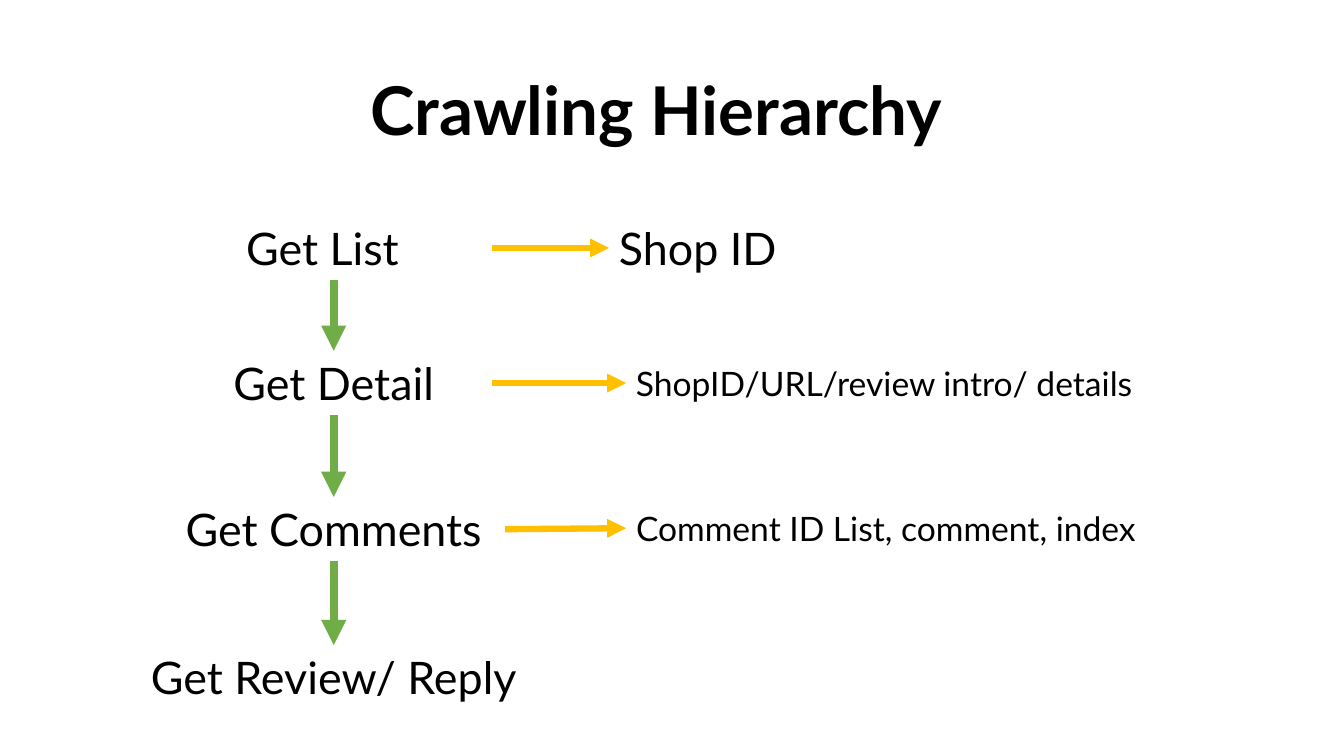
from pptx import Presentation
from pptx.dml.color import RGBColor
from pptx.enum.shapes import MSO_CONNECTOR
from pptx.enum.text import MSO_ANCHOR, MSO_AUTO_SIZE, PP_ALIGN
from pptx.oxml.ns import qn
from pptx.util import Inches, Pt
from lxml import etree

# Content
TITLE = "Crawling Hierarchy"
# step text, top, width, extra right inset
STEPS = [
    ("Get List", 2.14, 3.13, 0.22),
    ("Get Detail", 3.48, 3.13, 0),
    ("Get Comments", 4.93, 3.4, 0),
    ("Get Review/ Reply", 6.4, 4.29, 0),
]
# output text, left, top, width, height, size; one for each of the first steps
OUTPUTS = [
    ("Shop ID", 6.04, 2.14, 2.05, 0.64, 32),
    ("ShopID/URL/review intro/ details", 6.21, 3.55, 5.63, 0.5, 24),
    ("Comment ID List, comment, index", 6.21, 4.99, 5.99, 0.5, 24),
]

FONT = "Lato"
BLACK = RGBColor(0x00, 0x00, 0x00)
GREEN = RGBColor(0x70, 0xAD, 0x47)
AMBER = RGBColor(0xFF, 0xC0, 0x00)
STEP_CENTER = 3.31
STEP_HEIGHT = 0.64
STEP_SIZE = 32
INSET = 0.1
TOP, LEFT, BOTTOM, RIGHT = 0, 1, 2, 3

prs = Presentation()
prs.slide_width, prs.slide_height = Inches(13.33), Inches(7.5)
slide = prs.slides.add_slide(prs.slide_layouts[5])


def write(tf, text, size, align, bold=False):
    p = tf.paragraphs[0]
    p.alignment = align
    r = p.add_run()
    r.text = text
    r.font.name, r.font.size, r.font.bold = FONT, Pt(size), bold
    r.font.color.rgb = BLACK
    return p


def add_label(text, left, top, width, height, size, align):
    sp = slide.shapes.add_textbox(*map(Inches, (left, top, width, height)))
    tf = sp.text_frame
    tf.word_wrap = True
    tf.auto_size = MSO_AUTO_SIZE.SHAPE_TO_FIT_TEXT
    write(tf, text, size, align)
    return sp


def add_arrow(start, start_side, end, end_side, color, width):
    line = slide.shapes.add_connector(MSO_CONNECTOR.STRAIGHT, 0, 0, 0, 0)
    line.begin_connect(start, start_side)
    line.end_connect(end, end_side)
    line.line.color.rgb = color
    line.line.width = Pt(width)
    etree.SubElement(line.line._get_or_add_ln(), qn("a:tailEnd"), type="triangle")
    etree.SubElement(line._element.spPr, qn("a:effectLst"))


# Title
title = slide.shapes.title
title.left, title.top, title.width, title.height = map(Inches, (0.92, 0.4, 11.5, 1.45))
tf = title.text_frame
tf.word_wrap = True
tf.vertical_anchor = MSO_ANCHOR.MIDDLE
tf.margin_right = Inches(INSET + 0.32)
write(tf, TITLE, 48, PP_ALIGN.CENTER, bold=True).line_spacing = 0.9

# Steps, centred on one axis
steps = []
for text, top, width, extra in STEPS:
    sp = add_label(text, STEP_CENTER - width / 2, top, width, STEP_HEIGHT,
                   STEP_SIZE, PP_ALIGN.CENTER)
    sp.text_frame.margin_right = Inches(INSET + extra)
    steps.append(sp)

# Downward arrows between steps
for upper, lower in zip(steps, steps[1:]):
    add_arrow(upper, BOTTOM, lower, TOP, GREEN, 6)

# Output of each step
for step, output in zip(steps, OUTPUTS):
    add_arrow(step, RIGHT, add_label(*output, PP_ALIGN.LEFT), LEFT, AMBER, 4.5)

prs.save("out.pptx")
